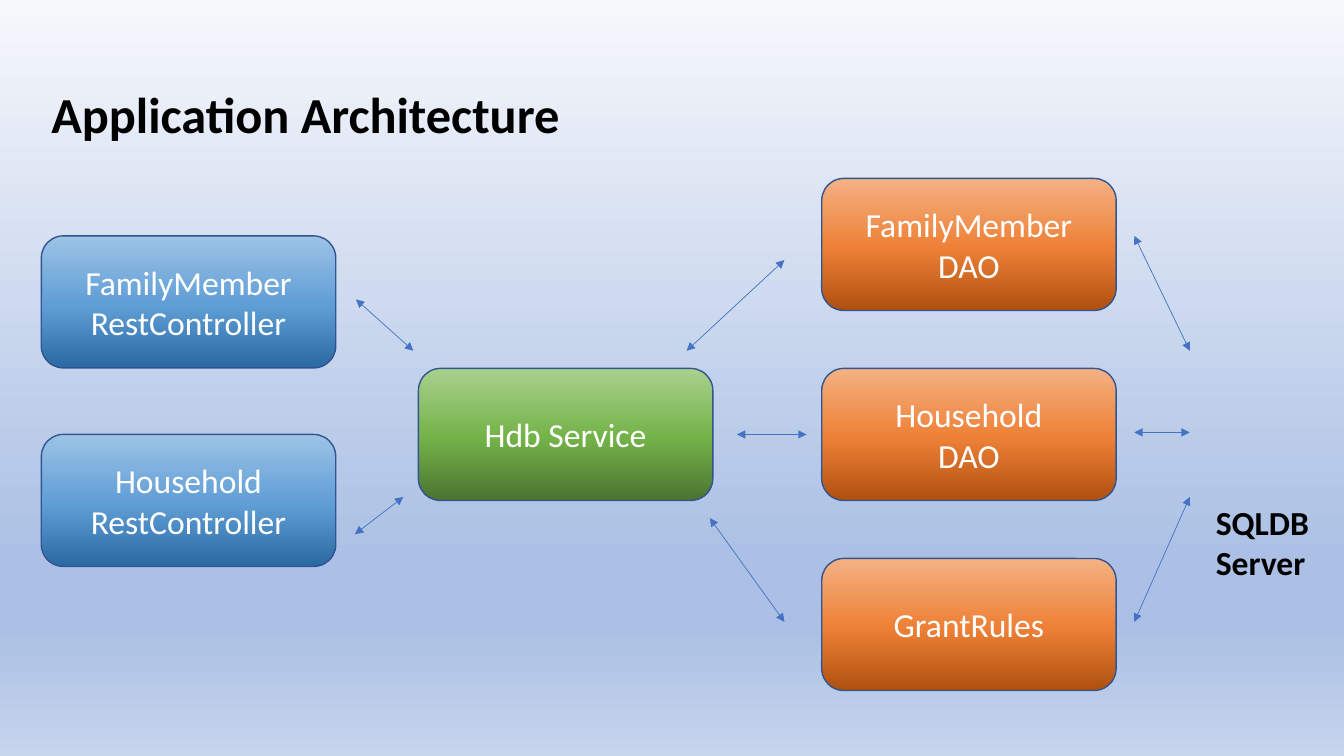
"""Build the application architecture slide: controllers, service, DAOs and database server."""
from dataclasses import dataclass

from lxml.etree import SubElement
from pptx import Presentation
from pptx.dml.color import RGBColor
from pptx.enum.shapes import MSO_CONNECTOR, MSO_SHAPE
from pptx.enum.text import MSO_ANCHOR, MSO_AUTO_SIZE, PP_ALIGN
from pptx.oxml.ns import qn
from pptx.util import Inches, Pt


@dataclass(frozen=True)
class Theme:
    font: str = "Calibri"
    title_size: int = 36
    body_size: int = 24
    ink: str = "000000"
    box_text: str = "FFFFFF"
    outline: str = "325491"
    arrow: str = "4472C4"
    backdrop: tuple = ((0, "F6F8FC"), (74, "ABC0E4"), (83, "ABC0E4"), (100, "C7D5ED"))
    blue: tuple = ((0, "9DC3E6"), (52, "609ED6"), (100, "2A69A2"))
    green: tuple = ((0, "A9D18E"), (52, "74B349"), (100, "4B7430"))
    orange: tuple = ((0, "F4B183"), (52, "EE8137"), (100, "B0500F"))


THEME = Theme()
BOX_WIDTH, BOX_HEIGHT = 2.92, 1.31

TITLE = "Application Architecture"
SERVER = ["SQLDB", "Server"]
LAYERS = [
    {"left": 0.41, "middle": 3.98, "pitch": 1.97, "gradient": THEME.blue,
     "components": [["FamilyMember", "RestController"], ["Household", "RestController"]]},
    {"left": 4.15, "middle": 4.31, "pitch": 0, "gradient": THEME.green,
     "components": [["Hdb Service"]]},
    {"left": 8.15, "middle": 4.31, "pitch": 1.885, "gradient": THEME.orange,
     "components": [["FamilyMember", "DAO"], ["Household", "DAO"], ["GrantRules"]]},
]
CALLS = [
    ((3.53, 2.97), (4.1, 3.48)),
    ((3.52, 5.3), (4, 4.93)),
    ((6.81, 3.48), (7.78, 2.58)),
    ((7.31, 4.31), (8, 4.31)),
    ((7.04, 5.14), (7.78, 6.17)),
    ((11.25, 2.34), (11.8, 3.48)),
    ((11.25, 4.29), (11.8, 4.29)),
    ((11.25, 6.17), (11.8, 4.93)),
]


def write(frame, lines, size=THEME.body_size, color=THEME.ink, bold=False,
          align=PP_ALIGN.LEFT, anchor=MSO_ANCHOR.TOP, wrap=False,
          fit=MSO_AUTO_SIZE.NONE):
    frame.text = "\n".join(lines)
    frame.word_wrap = wrap
    frame.auto_size = fit
    frame.vertical_anchor = anchor
    for paragraph in frame.paragraphs:
        paragraph.alignment = align
        for run in paragraph.runs:
            run.font.name = THEME.font
            run.font.size = Pt(size)
            run.font.bold = bold
            run.font.color.rgb = RGBColor.from_string(color)


def paint(fill, element, stops):
    fill.gradient()
    fill.gradient_angle = 270
    stop_list = element.find(".//" + qn("a:gsLst"))
    for default_stop in list(stop_list):
        stop_list.remove(default_stop)
    for percent, color in stops:
        stop = SubElement(stop_list, qn("a:gs"), pos=str(percent * 1000))
        SubElement(stop, qn("a:srgbClr"), val=color)


def add_component(slide, lines, left, top, gradient):
    component = slide.shapes.add_shape(
        MSO_SHAPE.ROUNDED_RECTANGLE, Inches(left), Inches(top),
        Inches(BOX_WIDTH), Inches(BOX_HEIGHT))
    component.shadow.inherit = False
    paint(component.fill, component.element, gradient)
    component.line.color.rgb = RGBColor.from_string(THEME.outline)
    component.line.width = Pt(1)
    write(component.text_frame, lines, color=THEME.box_text,
          align=PP_ALIGN.CENTER, anchor=MSO_ANCHOR.MIDDLE, wrap=True)


def add_call(slide, start, end):
    call = slide.shapes.add_connector(
        MSO_CONNECTOR.STRAIGHT, *(Inches(value) for value in start + end))
    call.line.color.rgb = RGBColor.from_string(THEME.arrow)
    call.line.width = Pt(0.5)
    outline = call.element.spPr.find(qn("a:ln"))
    for tip in ("a:headEnd", "a:tailEnd"):
        SubElement(outline, qn(tip), type="triangle")
    SubElement(call.element.spPr, qn("a:effectLst"))


deck = Presentation()
deck.slide_width, deck.slide_height = Inches(13.33), Inches(7.5)
slide = deck.slides.add_slide(deck.slide_layouts[5])
paint(slide.background.fill, slide.element, THEME.backdrop)

heading = slide.shapes.title
heading.left, heading.top = Inches(0.41), Inches(0.77)
heading.width, heading.height = Inches(5.31), Inches(0.71)
write(heading.text_frame, [TITLE], size=THEME.title_size, bold=True)

for layer in LAYERS:
    center = (len(layer["components"]) - 1) / 2
    for row, lines in enumerate(layer["components"]):
        top = layer["middle"] + (row - center) * layer["pitch"] - BOX_HEIGHT / 2
        add_component(slide, lines, layer["left"], top, layer["gradient"])

for start, end in CALLS:
    add_call(slide, start, end)

server = slide.shapes.add_textbox(Inches(11.96), Inches(4.93), Inches(1.28), Inches(0.91))
write(server.text_frame, SERVER, bold=True, fit=MSO_AUTO_SIZE.SHAPE_TO_FIT_TEXT)

deck.save("out.pptx")
